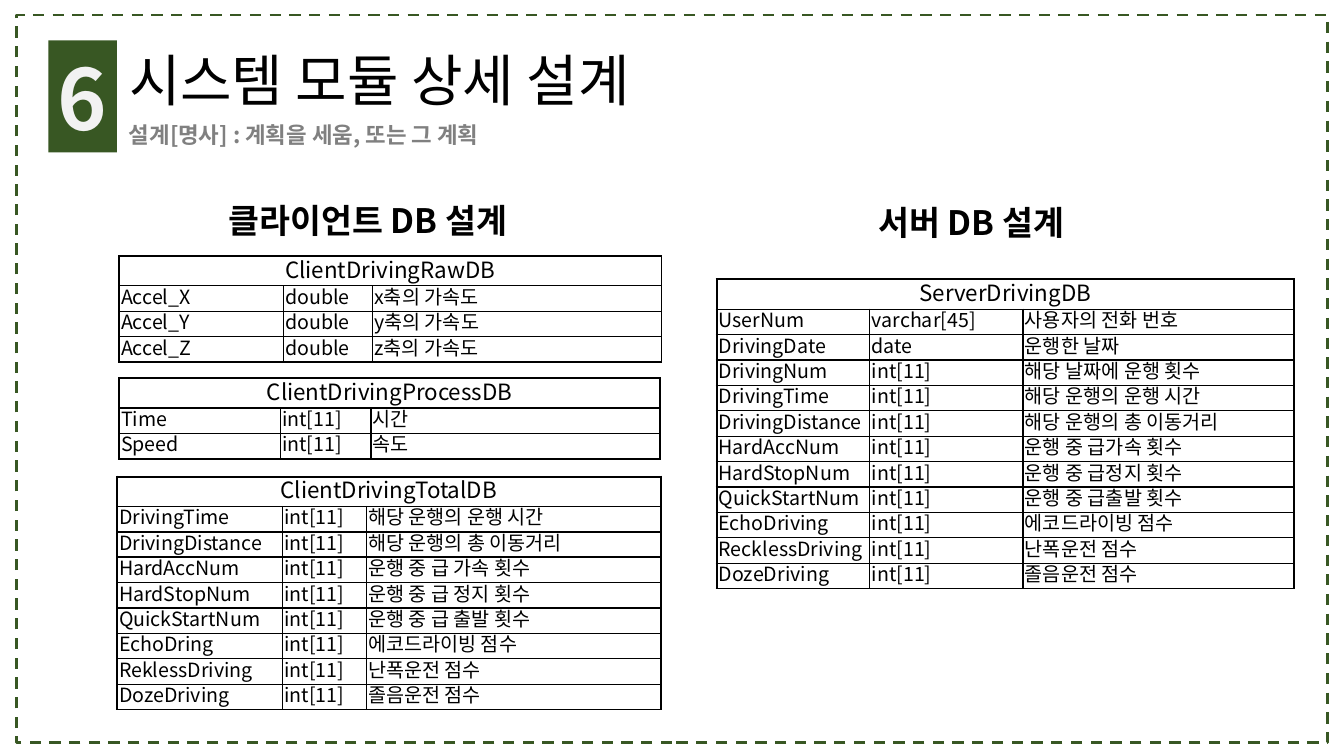
"""Build the slide on the client and server database design of a driving system."""
from lxml import etree
from pptx import Presentation
from pptx.dml.color import RGBColor
from pptx.enum.dml import MSO_LINE
from pptx.enum.shapes import MSO_SHAPE
from pptx.enum.text import MSO_ANCHOR, MSO_AUTO_SIZE, PP_ALIGN
from pptx.oxml.ns import qn
from pptx.util import Cm, Pt

RECT = MSO_SHAPE.RECTANGLE
DASH = MSO_LINE.DASH
TOP, MIDDLE, BOTTOM = MSO_ANCHOR.TOP, MSO_ANCHOR.MIDDLE, MSO_ANCHOR.BOTTOM
LEFT, CENTER = PP_ALIGN.LEFT, PP_ALIGN.CENTER

THEME = {
    "font": "Noto Sans CJK KR",
    "green": "385723", "ink": "000000", "grey": "808080", "pale": "F2F2F2",
    "number": 60, "title": 40, "heading": 24, "subtitle": 16,
    "table_name": 16, "field": 14, "thick": 1.5, "thin": 1,
}


def write(tf, text, size, color="ink", bold=False, align=LEFT, spacing=None):
    """Write one formatted paragraph into a text frame."""
    p = tf.paragraphs[0]
    p.alignment = align
    p.line_spacing = spacing
    r = p.add_run()
    r.text = text
    r.font.color.rgb = RGBColor.from_string(THEME[color])
    fmt = {"name": THEME["font"], "size": Pt(THEME[size]), "bold": bold}
    for name, value in fmt.items():
        setattr(r.font, name, value)
    etree.SubElement(r._r.get_or_add_rPr(), qn("a:ea"), typeface=THEME["font"])


def draw_borders(cell, weights):
    """Draw the left, right, top and bottom borders of a cell."""
    tcPr = cell._tc.get_or_add_tcPr()
    for side, weight in zip("LRTB", weights):
        ln = etree.SubElement(tcPr, qn(f"a:ln{side}"), w=str(Pt(THEME[weight])))
        fill = etree.SubElement(ln, qn("a:solidFill"))
        etree.SubElement(fill, qn("a:srgbClr"), val=THEME["ink"])


prs = Presentation()
prs.slide_width, prs.slide_height = Cm(33.87), Cm(19.05)
s = prs.slides.add_slide(prs.slide_layouts[5])

frame = s.shapes.add_shape(RECT, Cm(0.41), Cm(0.38), Cm(33.05), Cm(18.34))
frame.shadow.inherit = False
frame.fill.background()
frame.line.color.rgb = RGBColor.from_string(THEME["green"])
frame.line.width = Pt(2)
frame.line.dash_style = DASH

badge = s.shapes.add_shape(RECT, Cm(1.22), Cm(1.02), Cm(1.73), Cm(2.82))
badge.shadow.inherit = False
badge.fill.solid()
badge.fill.fore_color.rgb = RGBColor.from_string(THEME["green"])
badge.line.fill.background()
badge.text_frame.word_wrap = False
badge.text_frame.vertical_anchor = MIDDLE
write(badge.text_frame, "6", "number", "pale", True, CENTER)

title = s.shapes.title
title.left, title.top, title.width, title.height = Cm(3), Cm(1.02), Cm(14.76), Cm(1.96)
tf = title.text_frame
for name, value in {"word_wrap": False, "auto_size": MSO_AUTO_SIZE.NONE,
                    "vertical_anchor": MIDDLE}.items():
    setattr(tf, name, value)
write(tf, "시스템 모듈 상세 설계", "title")

captions = [
    (3, 2.92, 19.18, 0.94, MIDDLE, "설계[명사] : 계획을 세움, 또는 그 계획", "subtitle", "grey", None),
    (5.51, 4.65, 14.2, 1.6, TOP, "클라이언트 DB 설계", "heading", "ink", 1.25),
    (21.89, 4.72, 11.5, 1.8, TOP, "서버 DB 설계", "heading", "ink", 1.25),
]
for x, y, w, h, anchor, text, size, color, spacing in captions:
    tf = s.shapes.add_textbox(Cm(x), Cm(y), Cm(w), Cm(h)).text_frame
    tf.word_wrap = True
    tf.vertical_anchor = anchor
    write(tf, text, size, color, True, spacing=spacing)

NAME_HEIGHT, FIELD_HEIGHT = 0.75, 0.64
tables = [
    ("ServerDrivingDB", 18.06, 7.04, (3.86, 3.86, 6.83), (), [
        ("UserNum", "varchar[45]", "사용자의 전화 번호"),
        ("DrivingDate", "date", "운행한 날짜"),
        ("DrivingNum", "int[11]", "해당 날짜에 운행 횟수"),
        ("DrivingTime", "int[11]", "해당 운행의 운행 시간"),
        ("DrivingDistance", "int[11]", "해당 운행의 총 이동거리"),
        ("HardAccNum", "int[11]", "운행 중 급가속 횟수"),
        ("HardStopNum", "int[11]", "운행 중 급정지 횟수"),
        ("QuickStartNum", "int[11]", "운행 중 급출발 횟수"),
        ("EchoDriving", "int[11]", "에코드라이빙 점수"),
        ("RecklessDriving", "int[11]", "난폭운전 점수"),
        ("DozeDriving", "int[11]", "졸음운전 점수"),
    ]),
    ("ClientDrivingRawDB", 3, 6.45, (4.14, 2.24, 7.29), (), [
        ("Accel_X", "double", "x축의 가속도"),
        ("Accel_Y", "double", "y축의 가속도"),
        ("Accel_Z", "double", "z축의 가속도"),
    ]),
    ("ClientDrivingProcessDB", 3, 9.53, (4.06, 2.29, 7.29), (), [
        ("Time", "int[11]", "시간"),
        ("Speed", "int[11]", "속도"),
    ]),
    ("ClientDrivingTotalDB", 2.95, 12.01, (4.17, 2.11, 7.42), (1, 2), [
        ("DrivingTime", "int[11]", "해당 운행의 운행 시간"),
        ("DrivingDistance", "int[11]", "해당 운행의 총 이동거리"),
        ("HardAccNum", "int[11]", "운행 중 급 가속 횟수"),
        ("HardStopNum", "int[11]", "운행 중 급 정지 횟수"),
        ("QuickStartNum", "int[11]", "운행 중 급 출발 횟수"),
        ("EchoDring", "int[11]", "에코드라이빙 점수"),
        ("ReklessDriving", "int[11]", "난폭운전 점수"),
        ("DozeDriving", "int[11]", "졸음운전 점수"),
    ]),
]
cell_format = {"margin_left": Cm(0.05), "margin_right": Cm(0.05), "margin_top": Cm(0.03),
               "margin_bottom": Cm(0.03), "vertical_anchor": BOTTOM}

for table_name, x, y, widths, thick_rows, fields in tables:
    last = len(fields)
    height = NAME_HEIGHT + FIELD_HEIGHT * last
    table = s.shapes.add_table(last + 1, 3, Cm(x), Cm(y), Cm(sum(widths)), Cm(height)).table
    table.first_row = table.horz_banding = False
    for column, width in zip(table.columns, widths):
        column.width = Cm(width)
    table.cell(0, 0).merge(table.cell(0, 2))
    thick_lines = {-1, last, *thick_rows}
    for i, row in enumerate(table.rows):
        row.height = Cm(FIELD_HEIGHT if i else NAME_HEIGHT)
        for j, cell in enumerate(row.cells):
            heavy = (j == 0 or i == 0, j == 2 or i == 0, i - 1 in thick_lines, i in thick_lines)
            draw_borders(cell, ["thick" if edge else "thin" for edge in heavy])
            cell.fill.background()
            for name, value in cell_format.items():
                setattr(cell, name, value)
            if i:
                write(cell.text_frame, fields[i - 1][j], "field", spacing=Pt(16))
    write(table.cell(0, 0).text_frame, table_name, "table_name", align=CENTER, spacing=Pt(19))

prs.save("out.pptx")
